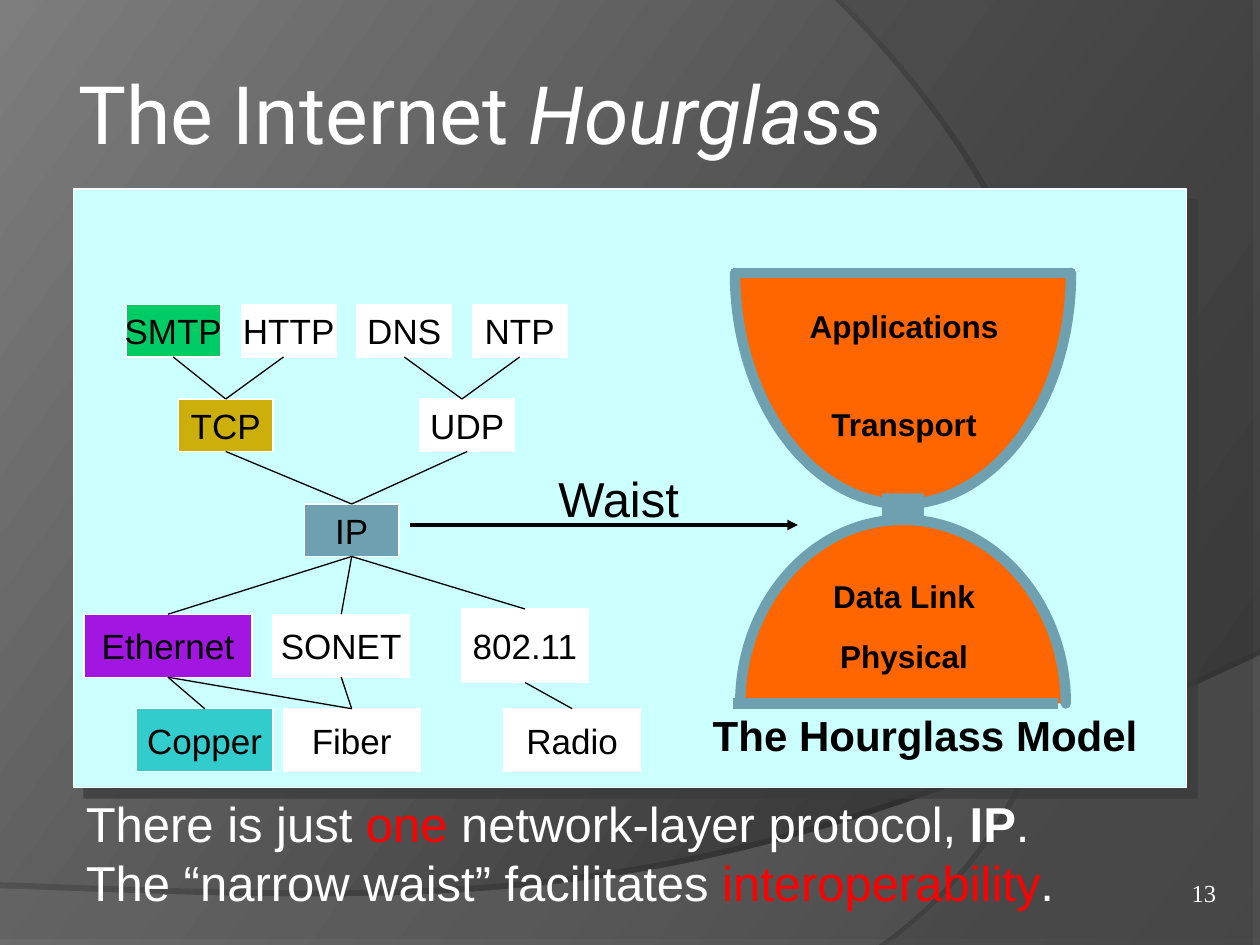
from dataclasses import dataclass

from lxml.etree import SubElement
from pptx import Presentation
from pptx.dml.color import RGBColor
from pptx.enum.shapes import MSO_CONNECTOR, MSO_SHAPE
from pptx.enum.text import MSO_ANCHOR, PP_ALIGN
from pptx.oxml.ns import qn
from pptx.util import Emu, Pt

COLS, ROWS = 240, 180  # grid of 24 cells to the inch
CELL = 38100
KAPPA = 0.55  # control distance for a quarter ellipse
COLORS = {
    "bg_dark": "242424", "bg_light": "7D7D7D", "wave": "7C7C7C", "sweep": "595959",
    "panel": "CCFFFF", "panel_shadow": "3B3B3B", "orange": "FF6600", "steel": "6EA0B0",
    "white": "FFFFFF", "black": "000000", "red": "FF0000", "green": "00CC66",
    "gold": "CCAF0A", "purple": "A116E0", "teal": "33CCCC",
}


@dataclass
class Node:
    text: str
    x: float
    y: float
    w: float = 18
    h: float = 10
    color: str = "white"


@dataclass
class Link:
    upper: str
    lower: str
    upper_shift: float = 0
    lower_shift: float = 0


@dataclass
class Run:
    text: str
    color: str = "white"
    bold: bool = False
    italic: bool = False


NODES = [
    Node("SMTP", 24, 58, color="green"), Node("HTTP", 46, 58),
    Node("DNS", 68, 58), Node("NTP", 90, 58),
    Node("TCP", 34, 76, color="gold"), Node("UDP", 80, 76),
    Node("IP", 58, 96, color="steel"),
    Node("Ethernet", 16, 117, 32, 12, "purple"), Node("SONET", 52, 117, 26, 12),
    Node("802.11", 88, 116, 24, 14),
    Node("Copper", 26, 135, 26, 12, "teal"), Node("Fiber", 54, 135, 26, 12),
    Node("Radio", 96, 135, 26, 12),
]
LINKS = [
    Link("SMTP", "TCP"), Link("HTTP", "TCP", -1),
    Link("DNS", "UDP", 0, -1), Link("NTP", "UDP", 0, -1),
    Link("TCP", "IP"), Link("UDP", "IP"),
    Link("IP", "802.11"), Link("IP", "Ethernet"), Link("IP", "SONET"),
    Link("Ethernet", "Fiber"), Link("Ethernet", "Copper"),
    Link("SONET", "Fiber"), Link("802.11", "Radio"),
]


def u(cells: float) -> Emu:
    return Emu(round(cells * CELL))


def rgb(name: str) -> RGBColor:
    return RGBColor.from_string(COLORS[name])


def set_shadow(sp, color: str, alpha: int, dist: float, angle: int) -> None:
    sp.shadow.inherit = False
    effects = sp._element.spPr.find(qn("a:effectLst"))
    outer = SubElement(effects, qn("a:outerShdw"), blurRad="0", dist=str(Pt(dist)),
                       dir=str(angle * 60000), algn="ctr", rotWithShape="0")
    clr = SubElement(outer, qn("a:srgbClr"), val=COLORS[color])
    SubElement(clr, qn("a:alpha"), val=str(alpha * 1000))


def add_box(s, x: float, y: float, w: float, h: float, fill: str, outlined: bool = True):
    sp = s.shapes.add_shape(MSO_SHAPE.RECTANGLE, u(x), u(y), u(w), u(h))
    sp.shadow.inherit = False
    sp.fill.solid()
    sp.fill.fore_color.rgb = rgb(fill)
    if outlined:
        sp.line.color.rgb = rgb("white")
        sp.line.width = Pt(0.75)
    else:
        sp.line.fill.background()
    return sp


def add_line(s, x1: float, y1: float, x2: float, y2: float,
             color: str = "black", width: float = 0.75):
    line = s.shapes.add_connector(MSO_CONNECTOR.STRAIGHT, u(x1), u(y1), u(x2), u(y2))
    line.line.color.rgb = rgb(color)
    line.line.width = Pt(width)
    SubElement(line._element.spPr, qn("a:effectLst"))
    return line


def add_runs(p, runs: list[Run], size: float, font: str = "Arial") -> None:
    for run in runs:
        r = p.add_run()
        r.text = run.text
        r.font.size, r.font.name = Pt(size), font
        r.font.bold, r.font.italic = run.bold, run.italic
        r.font.color.rgb = rgb(run.color)


def add_text(s, x: float, y: float, w: float, h: float, runs: list[Run], size: float,
             font: str = "Arial", align: PP_ALIGN = PP_ALIGN.LEFT):
    tf = s.shapes.add_textbox(u(x), u(y), u(w), u(h)).text_frame
    tf.word_wrap = True
    tf.paragraphs[0].alignment = align
    add_runs(tf.paragraphs[0], runs, size, font)
    return tf


def add_curve(s, paths: list[tuple[dict, list]], fill: str):
    """Freeform whose paths hold (command, points) steps in grid cells."""
    pts = [pt for _, steps in paths for _, step in steps for pt in step]
    left, top = (min(axis) for axis in zip(*pts))
    right, bottom = (max(axis) for axis in zip(*pts))
    fb = s.shapes.build_freeform(u(left), u(top))
    fb.add_line_segments([(u(right), u(top)), (u(right), u(bottom)), (u(left), u(bottom))])
    sp = fb.convert_to_shape()
    path_list = next(sp._element.iter(qn("a:pathLst")))
    path_list.clear()
    for attrs, steps in paths:
        path = SubElement(path_list, qn("a:path"), w=str(u(right - left)),
                          h=str(u(bottom - top)), **attrs)
        for command, step in steps:
            node = SubElement(path, qn("a:" + command))
            for x, y in step:
                SubElement(node, qn("a:pt"), x=str(u(x - left)), y=str(u(y - top)))
    sp.shadow.inherit = False
    sp.fill.solid()
    sp.fill.fore_color.rgb = rgb(fill)
    sp.line.fill.background()
    return sp


def add_swoosh(s, steps: list, fill: str, alpha: int, shadow: tuple) -> None:
    sp = add_curve(s, [({}, steps + [("close", [])])], fill)
    clr = next(sp._element.spPr.find(qn("a:solidFill")).iter(qn("a:srgbClr")))
    SubElement(clr, qn("a:alpha"), val=str(alpha * 1000))
    set_shadow(sp, "black", *shadow)


def add_quarter(s, cx: float, half: float, rim: float, apex: float) -> None:
    arc = [("moveTo", [(cx + half, rim)]),
           ("cubicBezTo", [(cx + half, rim + KAPPA * (apex - rim)),
                           (cx + KAPPA * half, apex), (cx, apex)])]
    wedge = arc + [("lnTo", [(cx, rim)]), ("close", [])]
    sp = add_curve(s, [({"stroke": "0"}, wedge), ({"fill": "none"}, arc)], "orange")
    sp.line.color.rgb = rgb("steel")
    sp.line.width = Pt(6)
    sp.line._get_or_add_ln().set("cap", "rnd")


def main() -> None:
    prs = Presentation()
    prs.slide_width, prs.slide_height = u(COLS), u(ROWS)
    s = prs.slides.add_slide(prs.slide_layouts[6])

    # Background with two translucent swooshes
    bg = s.background.fill
    bg.gradient()
    bg.gradient_angle = 144
    for stop, name in zip(bg.gradient_stops, ("bg_dark", "bg_light")):
        stop.color.rgb = rgb(name)
    add_swoosh(s, [("moveTo", [(0, 169.2)]), ("lnTo", [(0, ROWS)]), ("lnTo", [(COLS, ROWS)]),
                   ("lnTo", [(COLS, 124.8)]),
                   ("cubicBezTo", [(134.2, 175), (93.8, 172.6), (0, 169.2)])],
               "wave", 45, (35, 3.5, 270))
    add_swoosh(s, [("moveTo", [(COLS, 0)]), ("lnTo", [(COLS, ROWS)]), ("lnTo", [(168.7, ROWS)]),
                   ("cubicBezTo", [(213.8, 148.6), (227.3, 66), (160.3, 0)])],
               "sweep", 40, (45, 4, 180))

    # Page number, panel and title
    add_text(s, 210, 166, 24, 10, [Run("13")], 14, "Times New Roman", PP_ALIGN.RIGHT)
    set_shadow(add_box(s, 14, 36, 212, 114, "panel"), "panel_shadow", 75, 8.5, 45)
    tf = add_text(s, 12.5, 1.7, 195.6, 30,
                  [Run("The Internet "), Run("Hourglass", italic=True)], 46, "Roboto")
    tf.vertical_anchor = MSO_ANCHOR.BOTTOM

    # Arrow to the waist
    arrow = add_line(s, 78, 100, 152, 100, width=2)
    SubElement(arrow.line._get_or_add_ln(), qn("a:tailEnd"), type="triangle")

    # Hourglass: dome, bowl, rims and neck
    for half, rim, apex in ((31, 134, 99), (32, 52, 96)):
        for side in (1, -1):
            add_quarter(s, 172, side * half, rim, apex)
    add_line(s, 139.7, 52, 203.8, 52, "steel", 6)
    add_line(s, 139.7, 134, 201.6, 134, "steel", 6)
    add_box(s, 168, 94, 8, 5.8, "steel", outlined=False)
    for text, y in (("Applications", 57.3), ("Transport", 76),
                    ("Data Link", 108.7), ("Physical", 120.2)):
        add_text(s, 150.2, y, 44, 9.6, [Run(text, "black", True)], 18, align=PP_ALIGN.CENTER)
    add_text(s, 133.4, 134, 90, 12, [Run("The Hourglass Model", "black", True)], 24)
    add_text(s, 104, 88, 42, 13.7, [Run("Waist", "black")], 28)

    # Closing statement
    tf = add_text(s, 14, 150, 202, 24,
                  [Run("There is just "), Run("one", "red"), Run(" network-layer protocol, "),
                   Run("IP", bold=True), Run(".")], 28)
    p = tf.add_paragraph()
    p.line_spacing, p.space_before = 0.4, Pt(17.5)
    add_runs(p, [Run("The “narrow waist” facilitates "), Run("interoperability", "red"),
                 Run(".")], 28)

    # Protocol tree
    for n in NODES:
        tf = add_box(s, n.x, n.y, n.w, n.h, n.color).text_frame
        tf.word_wrap, tf.vertical_anchor = False, MSO_ANCHOR.MIDDLE
        tf.paragraphs[0].alignment = PP_ALIGN.CENTER
        add_runs(tf.paragraphs[0], [Run(n.text, "black")], 20)
    nodes = {n.text: n for n in NODES}
    for link in LINKS:
        a, b = nodes[link.upper], nodes[link.lower]
        add_line(s, a.x + a.w / 2 + link.upper_shift, a.y + a.h,
                 b.x + b.w / 2 + link.lower_shift, b.y)

    prs.save("out.pptx")


if __name__ == "__main__":
    main()
